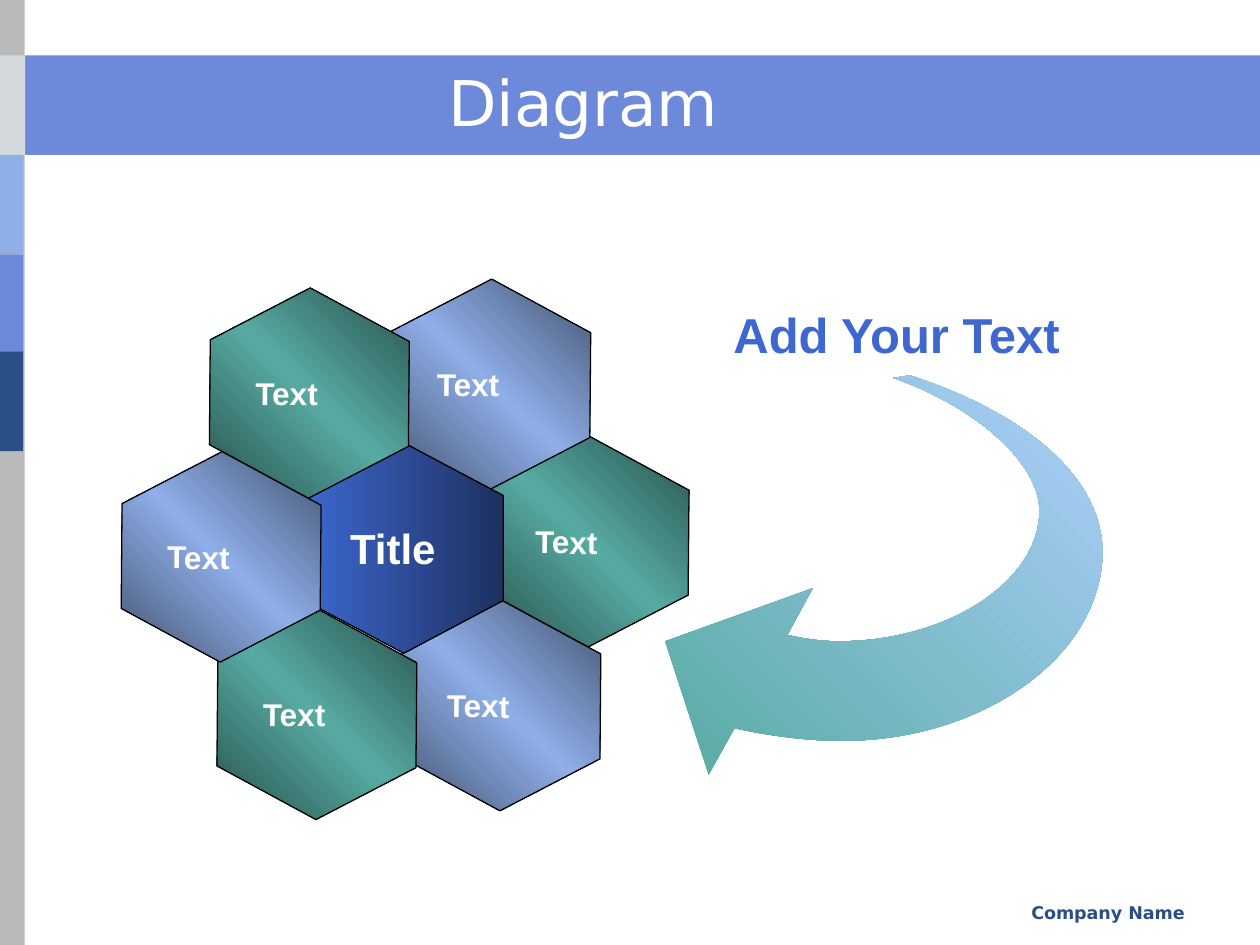
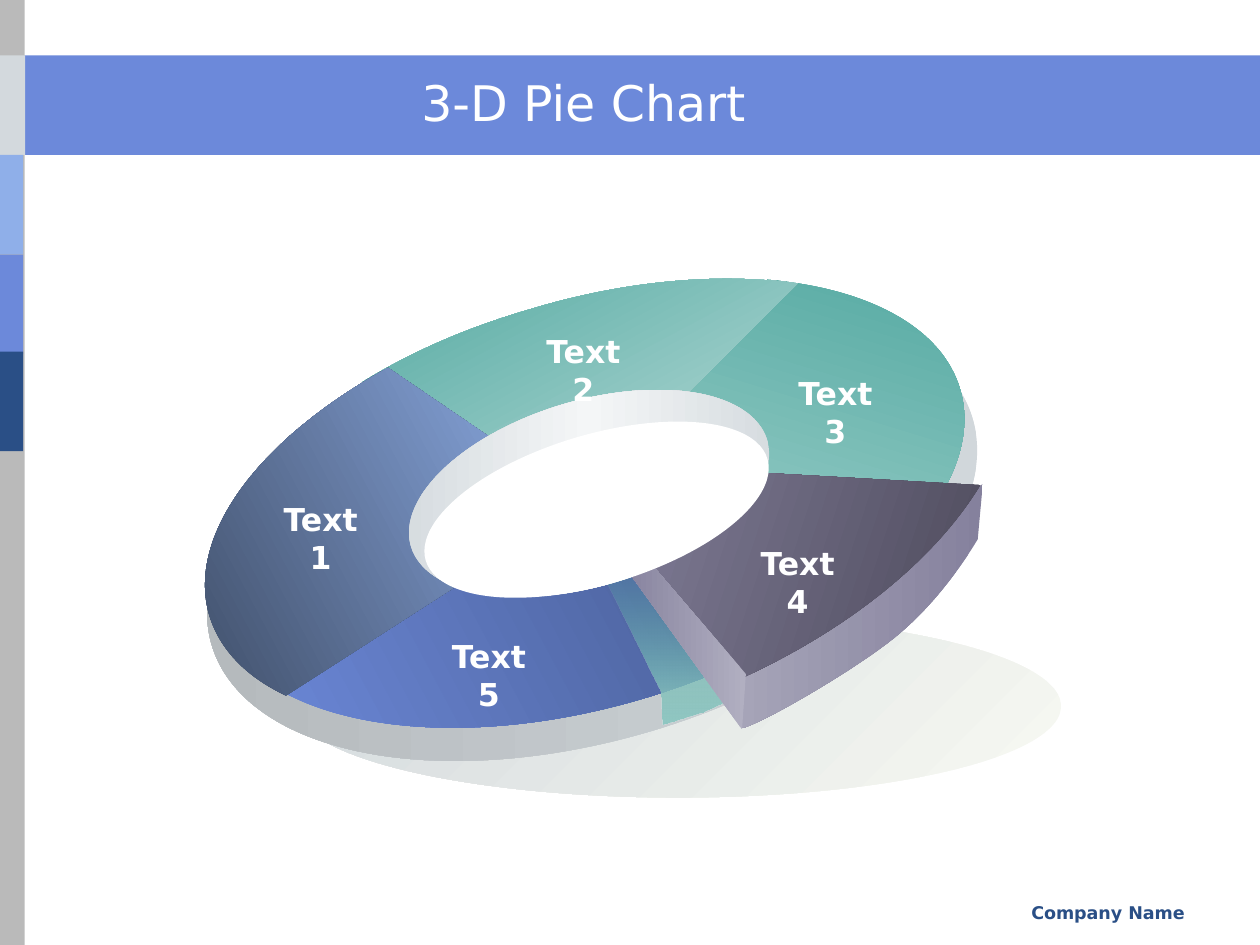
from dataclasses import dataclass
from typing import NamedTuple, Optional

import pptx
import pptx.dml.color
import pptx.enum.shapes
import pptx.enum.text
import pptx.oxml
import pptx.oxml.ns
import pptx.util

SLIDE_WIDTH = pptx.util.Inches(10)
SLIDE_HEIGHT = pptx.util.Inches(7.5)
COLUMNS, ROWS = 100, 75
CURVE_STEPS = 24

SHAPES = pptx.enum.shapes.MSO_SHAPE
ALIGN = pptx.enum.text.PP_ALIGN
ANCHOR = pptx.enum.text.MSO_ANCHOR


@dataclass(frozen=True)
class Theme:
    heading_font: str = "DejaVu Sans"
    label_font: str = "Arial"
    white: str = "FFFFFF"
    black: str = "000000"
    rail: str = "BABABA"
    silver: str = "D3D9DD"
    sky: str = "8FAFE9"
    periwinkle: str = "6C89DA"
    navy: str = "2A4F86"
    royal: str = "3E68D0"
    teal: str = "57ABA3"
    mauve: str = "85819D"
    slate: str = "42516C"
    footer_size: float = 10
    label_size: float = 18
    hub_size: float = 24
    heading_size: float = 28
    title_size: float = 36
    outline: float = 0.75


THEME = Theme()


class Box(NamedTuple):
    """Left, top, width and height in grid columns and rows."""
    left: float
    top: float
    width: float
    height: float


class Stop(NamedTuple):
    position: int
    color: str
    opacity: int = 100


class Gradient(NamedTuple):
    angle: float
    stops: tuple[Stop, ...]


class TextStyle(NamedTuple):
    size: float
    font: str
    color: str
    bold: bool = True
    align: ALIGN = ALIGN.CENTER


class Cell(NamedTuple):
    label: str
    left: float
    top: float
    fill: Gradient
    turn: float = 90.5
    size: float = THEME.label_size


class Oval(NamedTuple):
    box: Box
    fill: Gradient | str
    turn: float = 343.4


class Outline(NamedTuple):
    """A start point, then lines (x, y) and cubic curves (x1, y1, x2, y2, x, y)."""
    start: tuple[float, float]
    steps: tuple[tuple[float, ...], ...]
    fill: Gradient


class Label(NamedTuple):
    text: str
    left: float
    top: float


def blend(angle: float, *colors: str) -> Gradient:
    """Spread the colours evenly along a clockwise angle."""
    gap = 100 // (len(colors) - 1)
    return Gradient(angle, tuple(Stop(i * gap, c) for i, c in enumerate(colors)))


def across(columns: float) -> int:
    return round(SLIDE_WIDTH * columns / COLUMNS)


def down(rows: float) -> int:
    return round(SLIDE_HEIGHT * rows / ROWS)


def place(box: Box) -> tuple[int, int, int, int]:
    return across(box.left), down(box.top), across(box.width), down(box.height)


def rgb(color: str):
    return pptx.dml.color.RGBColor.from_string(color)


def drawing_xml(tag: str, attributes: str, content: str):
    return pptx.oxml.parse_xml(
        f'<a:{tag} {pptx.oxml.ns.nsdecls("a")} {attributes}>{content}</a:{tag}>')


def paint(shape, fill: Gradient | str, outline: Optional[str] = None) -> None:
    shape.shadow.inherit = False
    if outline:
        shape.line.color.rgb = rgb(outline)
        shape.line.width = pptx.util.Pt(THEME.outline)
    else:
        shape.line.fill.background()
    if isinstance(fill, str):
        shape.fill.solid()
        shape.fill.fore_color.rgb = rgb(fill)
        return
    stops = "".join(
        f'<a:gs pos="{stop.position * 1000}"><a:srgbClr val="{stop.color}">'
        f'<a:alpha val="{stop.opacity * 1000}"/></a:srgbClr></a:gs>'
        for stop in fill.stops)
    gradient = drawing_xml(
        "gradFill", 'rotWithShape="0"',
        f'<a:gsLst>{stops}</a:gsLst><a:lin ang="{round(fill.angle * 60000)}" scaled="0"/>')
    shape.fill.background()
    properties = shape._element.spPr
    properties.replace(properties.find(pptx.oxml.ns.qn("a:noFill")), gradient)


def write(frame, text: str, style: TextStyle) -> None:
    frame.text = text
    frame.word_wrap = True
    paragraph = frame.paragraphs[0]
    paragraph.alignment = style.align
    font = paragraph.runs[0].font
    font.size = pptx.util.Pt(style.size)
    font.name = style.font
    font.bold = style.bold
    font.color.rgb = rgb(style.color)


def add_text(slide, box: Box, text: str, style: TextStyle, anchor=ANCHOR.TOP) -> None:
    frame = slide.shapes.add_textbox(*place(box)).text_frame
    frame.vertical_anchor = anchor
    write(frame, text, style)


def add_preset(slide, preset, box: Box, fill: Gradient | str,
               turn: float = 0, outline: Optional[str] = None):
    shape = slide.shapes.add_shape(preset, *place(box))
    shape.rotation = turn
    paint(shape, fill, outline)
    return shape


def pairs(step: tuple[float, ...]) -> list[tuple[int, int]]:
    return [(across(x), down(y)) for x, y in zip(step[::2], step[1::2])]


def curve_points(knots: list[tuple[int, int]]) -> list[tuple[int, int]]:
    points = []
    for i in range(1, CURVE_STEPS + 1):
        t = i / CURVE_STEPS
        weights = ((1 - t) ** 3, 3 * t * (1 - t) ** 2, 3 * t * t * (1 - t), t ** 3)
        points.append(tuple(round(sum(w * knot[axis] for w, knot in zip(weights, knots)))
                            for axis in (0, 1)))
    return points


def add_outline(slide, outline: Outline) -> None:
    """Size the freeform by points along its curves, then give it true curves."""
    moves = [("moveTo", pairs(outline.start))]
    points = list(moves[0][1])
    for step in outline.steps:
        knots = pairs(step)
        curved = len(knots) == 3
        moves.append(("cubicBezTo" if curved else "lnTo", knots))
        points += curve_points([points[-1], *knots]) if curved else knots
    builder = slide.shapes.build_freeform(*points[0], scale=1.0)
    builder.add_line_segments(points[1:], close=True)
    shape = builder.convert_to_shape()
    content = "".join(
        f'<a:{tag}>'
        + "".join(f'<a:pt x="{x - shape.left}" y="{y - shape.top}"/>' for x, y in knots)
        + f'</a:{tag}>' for tag, knots in moves)
    paths = shape._element.spPr.find(".//" + pptx.oxml.ns.qn("a:pathLst"))
    paths.replace(paths[0], drawing_xml(
        "path", f'w="{shape.width}" h="{shape.height}"', content + "<a:close/>"))
    paint(shape, outline.fill)


def add_oval(slide, oval: Oval) -> None:
    add_preset(slide, SHAPES.OVAL, oval.box, oval.fill, oval.turn)


def add_cell(slide, cell: Cell) -> None:
    """A hexagon standing on its point, with its label kept upright."""
    hexagon = add_preset(slide, SHAPES.HEXAGON, Box(cell.left, cell.top, 16.7, 15.8),
                         cell.fill, cell.turn, THEME.black)
    hexagon.adjustments[0] = 0.265
    frame = hexagon.text_frame
    frame.vertical_anchor = ANCHOR.MIDDLE
    body = frame._txBody.bodyPr
    body.set("vert", "eaVert")
    body.set("rot", "10800000")
    write(frame, cell.label, TextStyle(cell.size, THEME.label_font, THEME.white))


BAND_TOP, BAND_HEIGHT = 4.4, 7.9
FRAME_BANDS = (
    (Box(0, BAND_TOP, COLUMNS, BAND_HEIGHT), THEME.periwinkle),
    (Box(0, 0, 1.95, ROWS), THEME.rail),
    (Box(0, BAND_TOP, 2, BAND_HEIGHT), THEME.silver),
    (Box(0, 12.3, 1.85, BAND_HEIGHT), THEME.sky),
    (Box(0, 20.2, 1.85, BAND_HEIGHT), THEME.periwinkle),
    (Box(0, 27.9, 1.85, BAND_HEIGHT), THEME.navy),
)


def add_framed_slide(deck, title: str, title_size: float):
    slide = deck.slides.add_slide(deck.slide_layouts[6])
    for box, color in FRAME_BANDS:
        add_preset(slide, SHAPES.RECTANGLE, box, color)
    add_text(slide, Box(63.3, 71.1, 31.7, 2.5), "Company Name",
             TextStyle(THEME.footer_size, THEME.heading_font, THEME.navy, align=ALIGN.RIGHT))
    add_text(slide, Box(5.9, 4.95, 80.8, 6.2), title,
             TextStyle(title_size, THEME.heading_font, THEME.white, bold=False), ANCHOR.MIDDLE)
    return slide


GREEN = blend(134, "284F4B", THEME.teal, "284F4B")
BLUE = blend(134, THEME.slate, THEME.sky, THEME.slate)
HONEYCOMB = (
    Cell("Text", 38.4, 35.1, GREEN),
    Cell("Text", 30.6, 22.6, BLUE),
    Cell("Text", 31.4, 48.1, BLUE),
    Cell("Title", 23.7, 35.6, blend(0, THEME.royal, "1D3060"), 90, THEME.hub_size),
    Cell("Text", 16.2, 23.3, GREEN),
    Cell("Text", 16.8, 48.8, GREEN),
    Cell("Text", 9.2, 36.3, BLUE),
)
SWEEPING_ARROW = Outline((72.2, 29.8), (
    (81.2, 32.7, 87.5, 37.8, 87.5, 43.8),
    (87.5, 51.9, 78.2, 58.8, 66.8, 58.8),
    (64, 58.8, 61, 58.4, 58.3, 57.8),
    (56.25, 61.5), (52.8, 50.9), (64.5, 46.7), (62.5, 50.4),
    (63.8, 50.7, 65.2, 50.9, 66.6, 50.9),
    (75, 50.9, 82.5, 46.3, 82.5, 40.5),
    (82.5, 36.8, 77.5, 32.3, 70.9, 30),
), blend(315, THEME.teal, "AECFFC"))

RING_BASE = (
    Oval(Box(23.4, 48.8, 60.8, 14.5), blend(225, "F7F9F2", THEME.silver), 0),
    Oval(Box(15.5, 25.7, 63, 33), blend(180, THEME.silver, "B3B8BB")),
    Oval(Box(16.1, 24, 60.8, 32), blend(242, THEME.black, "2791BB")),
)
RING_SECTORS = (
    Outline((60.9, 22.2), ((69.1, 22.9, 74.8, 26.1, 76.2, 30.9),
                           (77.1, 33.9, 76.2, 37.3, 73.7, 40.8), (46.3, 39.8)),
            blend(107, THEME.teal, "94CAC5")),
    Outline((17.7, 50.5), ((21.8, 57.8, 36.2, 59.9, 51.2, 55.4),
                           (52.9, 54.9, 54.5, 54.3, 56.1, 53.7), (46.6, 39.9)),
            blend(332, THEME.periwinkle, "4B6098")),
    Outline((28.8, 30.3), ((32.7, 27.9, 37.1, 26, 41.9, 24.6),
                           (49.4, 22.3, 57, 21.6, 63.3, 22.5), (46.3, 39.4)),
            blend(242, "B8DBD8", THEME.teal)),
    Outline((30.8, 29.2), ((20.4, 34.9, 14.8, 42.6, 16.6, 48.8),
                           (17.4, 51.5, 19.5, 53.7, 22.7, 55.2), (46.5, 39.9)),
            blend(332, THEME.slate, THEME.sky)),
)
HOLE_RIM = Oval(Box(32, 31.8, 29.5, 14.7),
                blend(180, THEME.silver, "F4F6F7", THEME.silver))
HOLE = Oval(Box(33.2, 34.5, 28.3, 11.9), THEME.white)
RING_LABELS = (Label("Text1", 21, 39.2), Label("Text2", 41.85, 25.85),
               Label("Text3", 61.85, 29.2), Label("Text5", 34.35, 50.05))
PULLED_LABEL = Label("Text4", 58.85, 42.7)
PULLED_SECTOR = (
    Outline((48.1, 46), ((52.5, 54.9), (52.6, 57.5), (55.8, 56.5), (57.5, 55.7), (50, 45.7)),
            Gradient(90, (Stop(0, THEME.teal, 19), Stop(100, "8FC7C2")))),
    Outline((58.9, 53.8), ((78, 38.4), (77.6, 42.8),
                           (76.4, 44.8, 74.1, 48.1, 71, 50.6),
                           (67.9, 53.1, 60.9, 57.2, 58.9, 57.8),
                           (58.6, 56.4, 58.9, 53.8, 58.9, 53.8)),
            blend(180, THEME.mauve, "A6A4B8")),
    Outline((77.8, 38.5), ((74.1, 44.6, 66.9, 50.3, 58, 54.2), (46, 36.7)),
            blend(198, "4D4A5B", THEME.mauve)),
    Outline((59.2, 53.5), ((58.9, 57.9), (49.1, 44.3), (50.7, 43.6)),
            blend(180, "B1AFC1", THEME.mauve)),
)


def add_ring_label(slide, label: Label) -> None:
    add_text(slide, Box(label.left, label.top, 8.9, 4), label.text,
             TextStyle(THEME.label_size, THEME.heading_font, THEME.white))


def build_honeycomb(deck) -> None:
    slide = add_framed_slide(deck, "Diagram", THEME.title_size)
    add_outline(slide, SWEEPING_ARROW)
    for cell in HONEYCOMB:
        add_cell(slide, cell)
    add_text(slide, Box(56.9, 23.65, 28.5, 5.7), "Add Your Text",
             TextStyle(THEME.heading_size, THEME.label_font, THEME.royal))


def build_ring(deck) -> None:
    slide = add_framed_slide(deck, "3-D Pie Chart", THEME.heading_size)
    for oval in RING_BASE:
        add_oval(slide, oval)
    for sector in RING_SECTORS:
        add_outline(slide, sector)
    add_oval(slide, HOLE_RIM)
    for label in RING_LABELS:
        add_ring_label(slide, label)
    for face in PULLED_SECTOR:
        add_outline(slide, face)
    add_oval(slide, HOLE)
    add_ring_label(slide, PULLED_LABEL)


def main() -> None:
    deck = pptx.Presentation()
    deck.slide_width, deck.slide_height = SLIDE_WIDTH, SLIDE_HEIGHT
    build_honeycomb(deck)
    build_ring(deck)
    deck.save("out.pptx")


if __name__ == "__main__":
    main()
